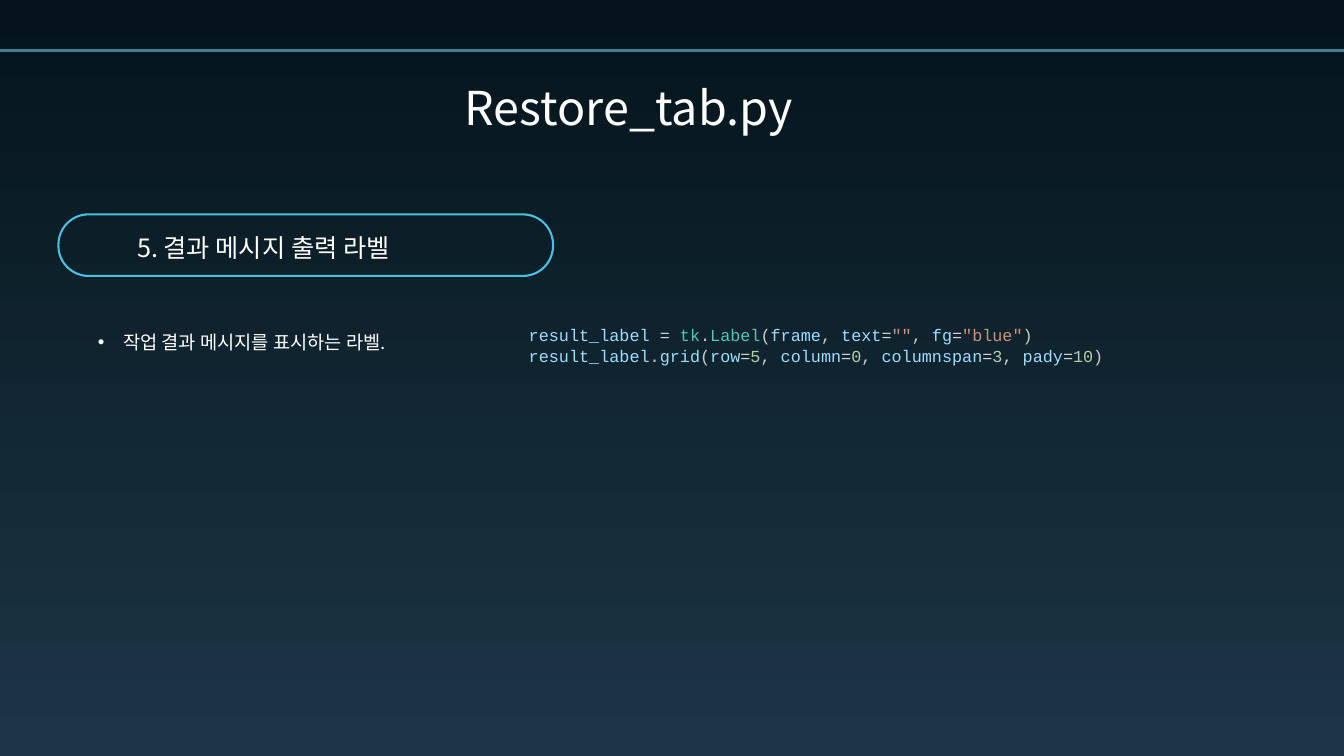
from lxml import etree
from pptx import Presentation
from pptx.dml.color import RGBColor
from pptx.enum.shapes import MSO_CONNECTOR, MSO_SHAPE
from pptx.enum.text import MSO_AUTO_SIZE, PP_ALIGN
from pptx.oxml.ns import qn
from pptx.util import Pt

STRAIGHT = MSO_CONNECTOR.STRAIGHT
ROUNDED = MSO_SHAPE.ROUNDED_RECTANGLE
CENTER, LEFT = PP_ALIGN.CENTER, PP_ALIGN.LEFT
GROW = MSO_AUTO_SIZE.SHAPE_TO_FIT_TEXT

WIDTH, HEIGHT = 1440, 810
KOREAN, CHINESE, MONO = "Noto Sans CJK KR", "Noto Sans CJK SC", "Courier New"
WHITE = "FFFFFF"
NAME, OPERATOR, TYPE = "9CDCFE", "D4D4D4", "4EC9B0"
PUNCTUATION, STRING, NUMBER = "CCCCCC", "CE9178", "B5CEA8"


def color(value):
    return RGBColor.from_string(value)


def set_background(slide, top, bottom):
    fill = slide.background.fill
    fill.gradient()
    fill.gradient_angle = 270
    for stop, position, value in zip(fill.gradient_stops, (0, 1), (top, bottom)):
        stop.position = position
        stop.color.rgb = color(value)


def add_rule(slide, y, value, width):
    rule = slide.shapes.add_connector(STRAIGHT, Pt(0), Pt(y), Pt(WIDTH), Pt(y))
    rule.line.color.rgb = color(value)
    rule.line.width = Pt(width)
    etree.SubElement(rule.element.spPr, qn("a:effectLst"))


def add_pill(slide, left, top, width, height, value):
    pill = slide.shapes.add_shape(ROUNDED, Pt(left), Pt(top), Pt(width), Pt(height))
    pill.adjustments[0] = 0.49
    pill.shadow.inherit = False
    pill.fill.background()
    pill.line.color.rgb = color(value)
    pill.line.width = Pt(2.25)


def add_bullet(paragraph, indent):
    properties = paragraph._p.get_or_add_pPr()
    properties.set("marL", str(Pt(indent)))
    properties.set("indent", str(Pt(-indent)))
    etree.SubElement(properties, qn("a:buFont"), typeface="Arial")
    etree.SubElement(properties, qn("a:buChar"), char="•")


def add_run(paragraph, text, value, size, font):
    run = paragraph.add_run()
    run.text = text
    run.font.size = Pt(size)
    run.font.color.rgb = color(value)
    run.font.name = font
    etree.SubElement(run.font._element, qn("a:ea"), typeface=font)


def add_text(slide, box, lines, size, font, spacing, align=LEFT, insets=(0, 0), bullet=0):
    shape = slide.shapes.add_textbox(*map(Pt, box))
    frame = shape.text_frame
    frame.word_wrap = True
    frame.auto_size = GROW
    frame.margin_left = frame.margin_right = Pt(insets[0])
    frame.margin_top = frame.margin_bottom = Pt(insets[1])
    for index, line in enumerate(lines):
        paragraph = frame.add_paragraph() if index else frame.paragraphs[0]
        paragraph.alignment = align
        paragraph.line_spacing = Pt(spacing)
        if bullet:
            add_bullet(paragraph, bullet)
        for text, value in line:
            add_run(paragraph, text, value, size, font)


def call(start, arguments):
    tokens = start + [("(", PUNCTUATION)]
    for index, (name, *values) in enumerate(arguments):
        if index:
            tokens.append((", ", PUNCTUATION))
        tokens.append((name, NAME))
        if values:
            tokens += [("=", OPERATOR), tuple(values)]
    return tokens + [(")", PUNCTUATION)]


def main():
    presentation = Presentation()
    presentation.slide_width, presentation.slide_height = Pt(WIDTH), Pt(HEIGHT)
    slide = presentation.slides.add_slide(presentation.slide_layouts[6])
    set_background(slide, "05141C", "1C3645")
    add_rule(slide, 54, "497B97", 3)

    add_text(slide, (108, 84.2, 1131, 61.2), [[("Restore_tab.py", WHITE)]],
             50, KOREAN, 60, align=CENTER)
    add_text(slide, (105, 350.4, 639.4, 28), [[("작업 결과 메시지를 표시하는 라벨.", WHITE)]],
             20, CHINESE, 28, bullet=27)

    add_pill(slide, 62.6, 229.7, 530, 66, "4AC0DE")
    add_text(slide, (146.9, 238.6, 435.6, 43.2), [[("5. 결과 메시지 출력 라벨", WHITE)]],
             27, KOREAN, 43.2)

    create = call(
        [("result_label ", NAME), ("= ", OPERATOR), ("tk", TYPE), (".", PUNCTUATION), ("Label", TYPE)],
        [("frame",), ("text", '""', STRING), ("fg", '"blue"', STRING)])
    place = call(
        [("result_label", NAME), (".", PUNCTUATION), ("grid", NAME)],
        [("row", "5", NUMBER), ("column", "0", NUMBER),
         ("columnspan", "3", NUMBER), ("pady", "10", NUMBER)])
    add_text(slide, (559.4, 344, 769, 51.2), [create, place], 18, MONO, 22, insets=(7.2, 3.6))

    presentation.save("out.pptx")


if __name__ == "__main__":
    main()
